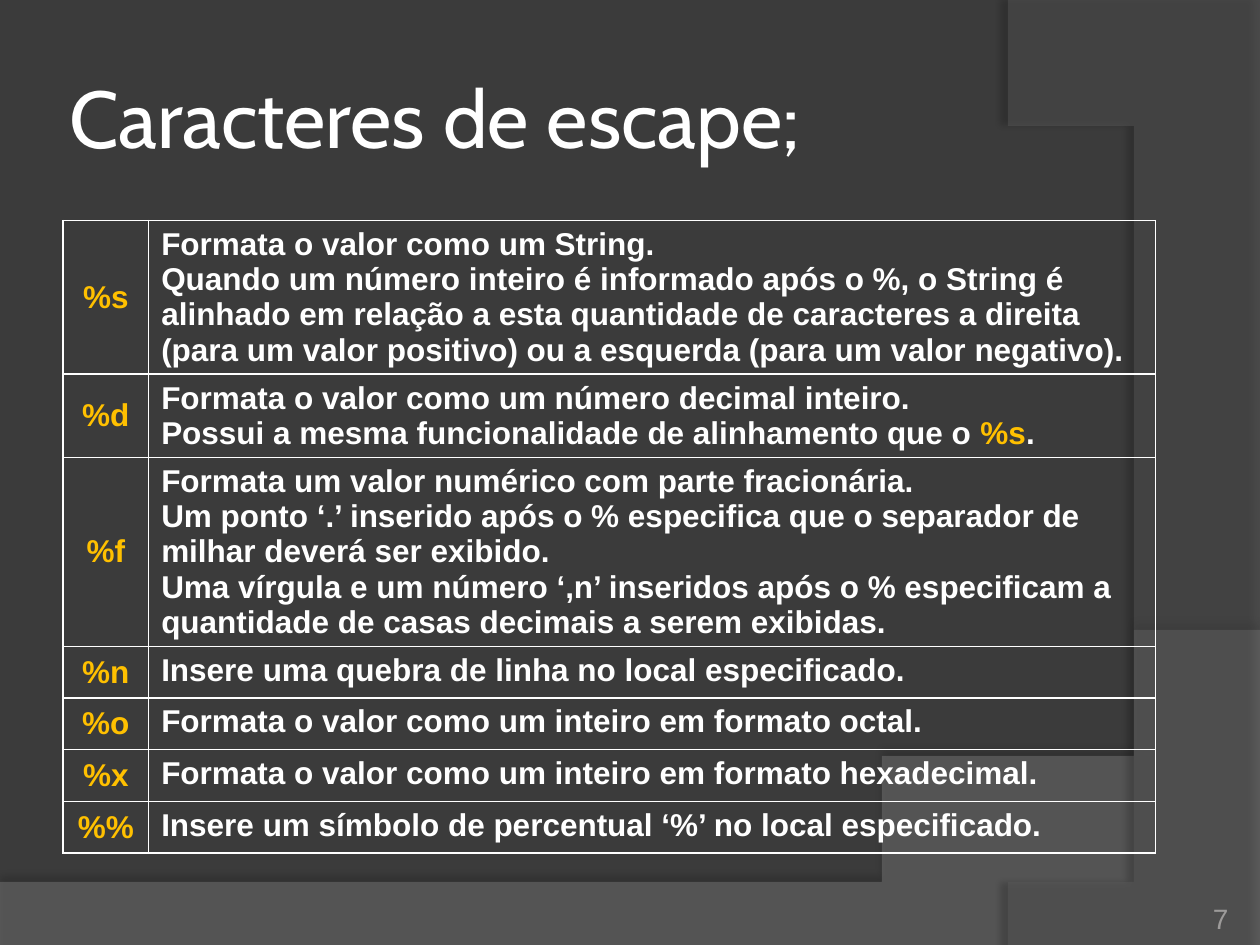
"""Build the slide on escape characters with its format table."""
from lxml.etree import SubElement as Sub
from pptx import Presentation
from pptx.dml.color import RGBColor
from pptx.enum.text import MSO_ANCHOR as Anchor, MSO_AUTO_SIZE as Fit, PP_ALIGN as Align
from pptx.oxml import parse_xml
from pptx.oxml.ns import nsdecls, qn
from pptx.util import Inches, Pt

DARK = RGBColor(0x3B, 0x3B, 0x3B)
GREY = RGBColor(0x7F, 0x7F, 0x7F)
SLATE = RGBColor(0x5E, 0x5E, 0x5E)
WHITE = RGBColor(0xFF, 0xFF, 0xFF)
GOLD = RGBColor(0xFF, 0xC0, 0x00)
PALE = RGBColor(0x9D, 0x9B, 0x9A)

ROWS = [
    ("%s", [["Formata o valor como um String."],
            ["Quando um número inteiro é informado após o %, o String é alinhado em "
             "relação a esta quantidade de caracteres a direita (para um valor "
             "positivo) ou a esquerda (para um valor negativo)."]]),
    ("%d", [["Formata o valor como um número decimal inteiro."],
            ["Possui a mesma funcionalidade de alinhamento que o ", "%s", "."]]),
    ("%f", [["Formata um valor numérico com parte fracionária."],
            ["Um ponto ‘.’ inserido após o % especifica que o separador de milhar "
             "deverá ser exibido."],
            ["Uma vírgula e um número ‘,n’ inseridos após o % especificam a "
             "quantidade de casas decimais a serem exibidas."]]),
    ("%n", [["Insere uma quebra de linha no local especificado."]]),
    ("%o", [["Formata o valor como um inteiro em formato octal."]]),
    ("%x", [["Formata o valor como um inteiro em formato hexadecimal."]]),
    ("%%", [["Insere um símbolo de percentual ‘%’ no local especificado."]]),
]
CODES = {code for code, _ in ROWS}


def curve(ends, steps=48):
    """Return points along a cubic curve."""
    def at(t):
        parts = ((1 - t) ** 3, 3 * t * (1 - t) ** 2, 3 * t * t * (1 - t), t ** 3)
        return tuple(sum(w * p[i] for w, p in zip(parts, ends)) for i in (0, 1))
    return [at(n / steps) for n in range(steps + 1)]


class Deck:
    """Hold the style and the current slide."""

    body = {"name": "Arial", "size": Pt(18), "bold": True}
    head = {"name": "Cabin", "size": Pt(46), "bold": False}
    foot = {"name": "Arial", "size": Pt(16), "bold": False}

    def __init__(self):
        self.prs = Presentation()
        self.prs.slide_width, self.prs.slide_height = Inches(10), Inches(7.5)
        self.slide = self.prs.slides.add_slide(self.prs.slide_layouts[5])
        fill = self.slide.background.fill
        fill.solid()
        fill.fore_color.rgb = DARK

    def style(self, font, look, color):
        for key, value in look.items():
            setattr(font, key, value)
        font.color.rgb = color

    def place(self, shape, box):
        for key, value in zip(("left", "top", "width", "height"), box):
            setattr(shape, key, Inches(value))

    def frame(self, shape, inset, anchor):
        frame = shape.text_frame
        form = dict.fromkeys(("margin_left", "margin_top", "margin_right",
                              "margin_bottom"), Inches(inset))
        form.update(word_wrap=True, auto_size=Fit.NONE, vertical_anchor=anchor)
        for key, value in form.items():
            setattr(frame, key, value)
        return frame

    def put(self, frame, lines, look, color, align=Align.LEFT):
        for n, runs in enumerate(lines):
            para = frame.add_paragraph() if n else frame.paragraphs[0]
            para.alignment = align
            for text in runs:
                run = para.add_run()
                run.text = text
                self.style(run.font, look, GOLD if text in CODES else color)

    def sweep(self, points, color, alpha, shade, dist, angle):
        pen = self.slide.shapes.build_freeform(*points[0], scale=Inches(1))
        pen.add_line_segments(points[1:], close=True)
        shape = pen.convert_to_shape()
        shape.fill.solid()
        shape.fill.fore_color.rgb = color
        shape.line.fill.background()
        shape.shadow.inherit = False
        tone = shape.element.xpath("./p:spPr/a:solidFill/a:srgbClr")[0]
        Sub(tone, qn("a:alpha"), val=str(alpha * 1000))
        glow = Sub(shape.element.xpath("./p:spPr/a:effectLst")[0], qn("a:outerShdw"),
                   blurRad=str(Pt(4)), dist=str(Pt(dist)), dir=str(angle * 60000),
                   algn="ctr", rotWithShape="0")
        tone = Sub(glow, qn("a:srgbClr"), val="000000")
        Sub(tone, qn("a:alpha"), val=str(shade * 1000))
        self.slide.shapes.title.element.addprevious(shape.element)

    def title(self, text, box):
        shape = self.slide.shapes.title
        self.place(shape, box)
        self.put(self.frame(shape, 0.05, Anchor.MIDDLE), [[text]], self.head, WHITE)

    def label(self, text, box):
        shape = self.slide.shapes.add_textbox(*map(Inches, box))
        frame = self.frame(shape, 0, Anchor.BOTTOM)
        self.put(frame, [[text]], self.foot, PALE, Align.RIGHT)

    def border(self, cell):
        props = cell._tc.get_or_add_tcPr()
        for n, side in enumerate("LRTB"):
            props.insert(n, parse_xml(
                f'<a:ln{side} {nsdecls("a")} w="{Pt(1)}"><a:solidFill>'
                f'<a:srgbClr val="{WHITE}"/></a:solidFill></a:ln{side}>'))

    def table(self, rows, left, top, widths, high):
        box = map(Inches, (left, top, sum(widths), high * len(rows)))
        grid = self.slide.shapes.add_table(len(rows), len(widths), *box).table
        grid.first_row = grid.horz_banding = False
        for col, width in zip(grid.columns, widths):
            col.width = Inches(width)
        for line, (code, text) in zip(grid.rows, rows):
            key, note = line.cells
            for cell in (key, note):
                cell.fill.background()
                self.border(cell)
            key.vertical_anchor = Anchor.MIDDLE
            self.put(key.text_frame, [[code]], self.body, GOLD, Align.CENTER)
            self.put(note.text_frame, text, self.body, WHITE)


def main():
    deck = Deck()
    wave = curve([(10, 5.2), (5.59, 7.29), (3.91, 7.19), (0, 7.05)])
    deck.sweep([(0, 7.51), (10, 7.51), *wave], GREY, 45, 35, 3.5, 270)
    arc = curve([(8.21, 7.5), (9.35, 6.19), (10.18, 3), (8, 0)])
    deck.sweep([(10, 0.02), (10, 7.5), *arc], SLATE, 40, 45, 4, 180)
    deck.title("Caracteres de escape;", (0.5, 0.3, 8.17, 1.25))
    deck.table(ROWS, 0.5, 1.75, (0.68, 7.99), 0.41)
    deck.label("7", (8.92, 7.02, 0.83, 0.4))
    deck.prs.save("out.pptx")


if __name__ == "__main__":
    main()
